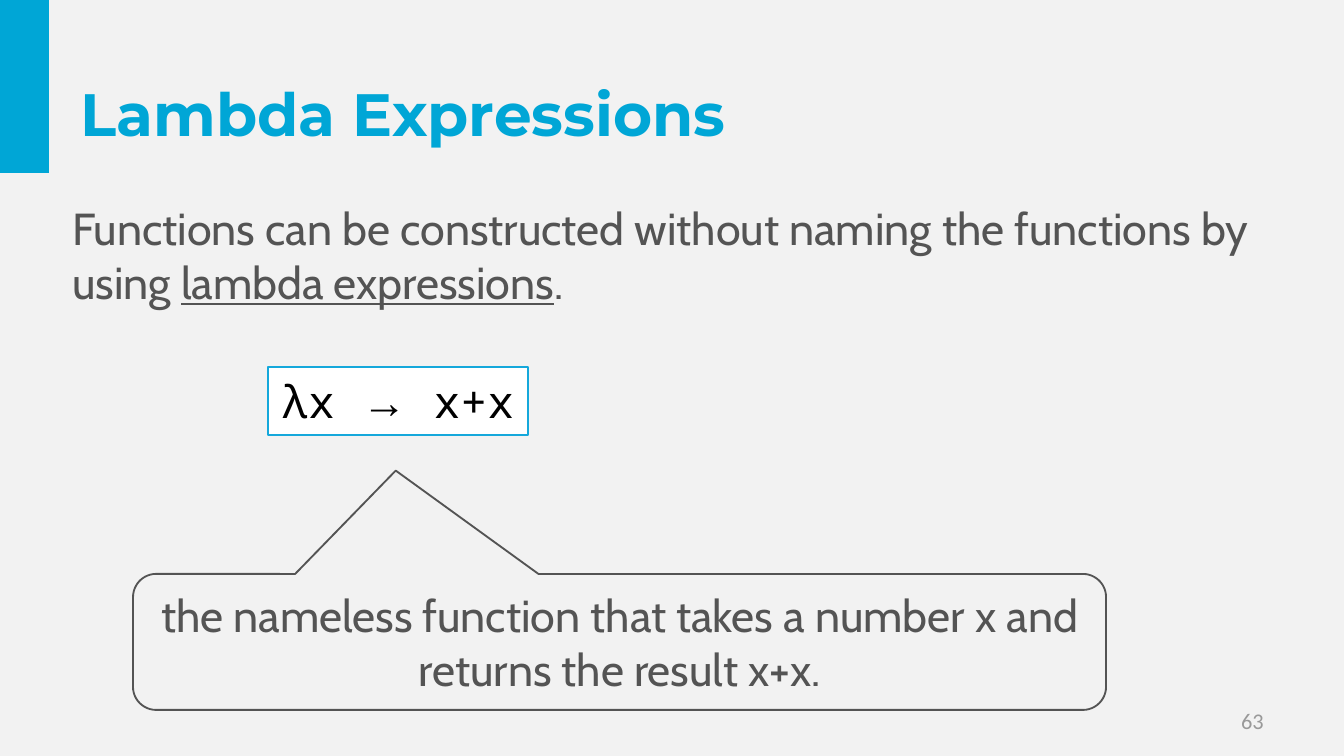
from dataclasses import dataclass

from pptx import Presentation
from pptx.dml.color import RGBColor
from pptx.enum.shapes import MSO_SHAPE
from pptx.enum.text import MSO_ANCHOR, PP_ALIGN
from pptx.util import Pt

RECTANGLE = MSO_SHAPE.RECTANGLE
CALLOUT = MSO_SHAPE.ROUNDED_RECTANGULAR_CALLOUT
MIDDLE = MSO_ANCHOR.MIDDLE
LEFT, CENTER, RIGHT = PP_ALIGN.LEFT, PP_ALIGN.CENTER, PP_ALIGN.RIGHT

EMU_PER_PX = 914400 / 134.4
BLANK_LAYOUT = 6


@dataclass(frozen=True)
class Theme:
    background: str = "F2F2F2"
    accent: str = "00A6D6"
    frame: str = "15A8DB"
    ink: str = "545454"
    code_ink: str = "000000"
    paper: str = "FFFFFF"
    muted: str = "999999"
    title_font: str = "Montserrat"
    body_font: str = "Cabin"
    code_font: str = "Noto Sans Mono"
    arrow_font: str = "Times New Roman"
    number_font: str = "Calibri"
    title_size: int = 32
    body_size: int = 24
    number_size: int = 12


def px(length):
    return round(length * EMU_PER_PX)


def rgb(value):
    return RGBColor.from_string(value)


def add_span(para, text, *, font, size, color, bold=False, underline=False):
    span = para.add_run()
    span.text = text
    span.font.name = font
    span.font.size = Pt(size)
    span.font.color.rgb = rgb(color)
    span.font.bold = bold
    span.font.underline = underline


class SlideBuilder:
    def __init__(self, page, theme):
        self.page = page
        self.theme = theme
        page.background.fill.solid()
        page.background.fill.fore_color.rgb = rgb(theme.background)

    def fill_text(self, box, spans, *, align=LEFT, wrap=True, **style):
        """Fill a box with (text, changes to the style) pairs."""
        frame = box.text_frame
        frame.word_wrap = wrap
        frame.vertical_anchor = MIDDLE
        para = frame.paragraphs[0]
        para.alignment = align
        for text, changes in spans:
            add_span(para, text, **{**style, **changes})

    def text(self, bounds, spans, **style):
        box = self.page.shapes.add_textbox(*map(px, bounds))
        self.fill_text(box, spans, **style)

    def shape(self, kind, bounds, *, fill=None, line=None):
        box = self.page.shapes.add_shape(kind, *map(px, bounds))
        box.shadow.inherit = False
        if fill:
            box.fill.solid()
            box.fill.fore_color.rgb = rgb(fill)
        else:
            box.fill.background()
        if line:
            box.line.color.rgb = rgb(line)
            box.line.width = Pt(1)
        else:
            box.line.fill.background()
        return box


def main():
    theme = Theme()
    deck = Presentation()
    deck.slide_width, deck.slide_height = px(1344), px(756)
    page = deck.slides.add_slide(deck.slide_layouts[BLANK_LAYOUT])
    builder = SlideBuilder(page, theme)
    body = dict(font=theme.body_font, size=theme.body_size, color=theme.ink)

    # Accent bar and page number
    builder.shape(RECTANGLE, (0, 0, 49, 173), fill=theme.accent)
    builder.text((964, 701, 313, 40), [("63", {})], align=RIGHT,
                 font=theme.number_font, size=theme.number_size, color=theme.muted)

    # Title and introduction
    builder.text((67, 31, 1210, 164), [("Lambda Expressions", {})], bold=True,
                 font=theme.title_font, size=theme.title_size, color=theme.accent)
    builder.text((59, 194, 1215, 122), [
        ("Functions can be constructed without naming the functions by using ", {}),
        ("lambda expressions", {"underline": True}),
        (".", {}),
    ], **body)

    # Lambda expression
    code = builder.shape(RECTANGLE, (268, 367, 260, 68),
                         fill=theme.paper, line=theme.frame)
    builder.fill_text(code, [
        ("λx ", {}),
        ("→", {"font": theme.arrow_font}),
        (" x+x", {}),
    ], wrap=False, font=theme.code_font, size=theme.body_size, color=theme.code_ink)

    # Explanation pointing up at the expression
    callout = builder.shape(CALLOUT, (133, 574, 973, 136), line=theme.ink)
    for index, value in enumerate((-0.23, -1.26, 0.17)):
        callout.adjustments[index] = value
    builder.fill_text(callout, [
        ("the nameless function that takes a number x and returns the result x+x.", {}),
    ], align=CENTER, **body)

    deck.save("out.pptx")


if __name__ == "__main__":
    main()
